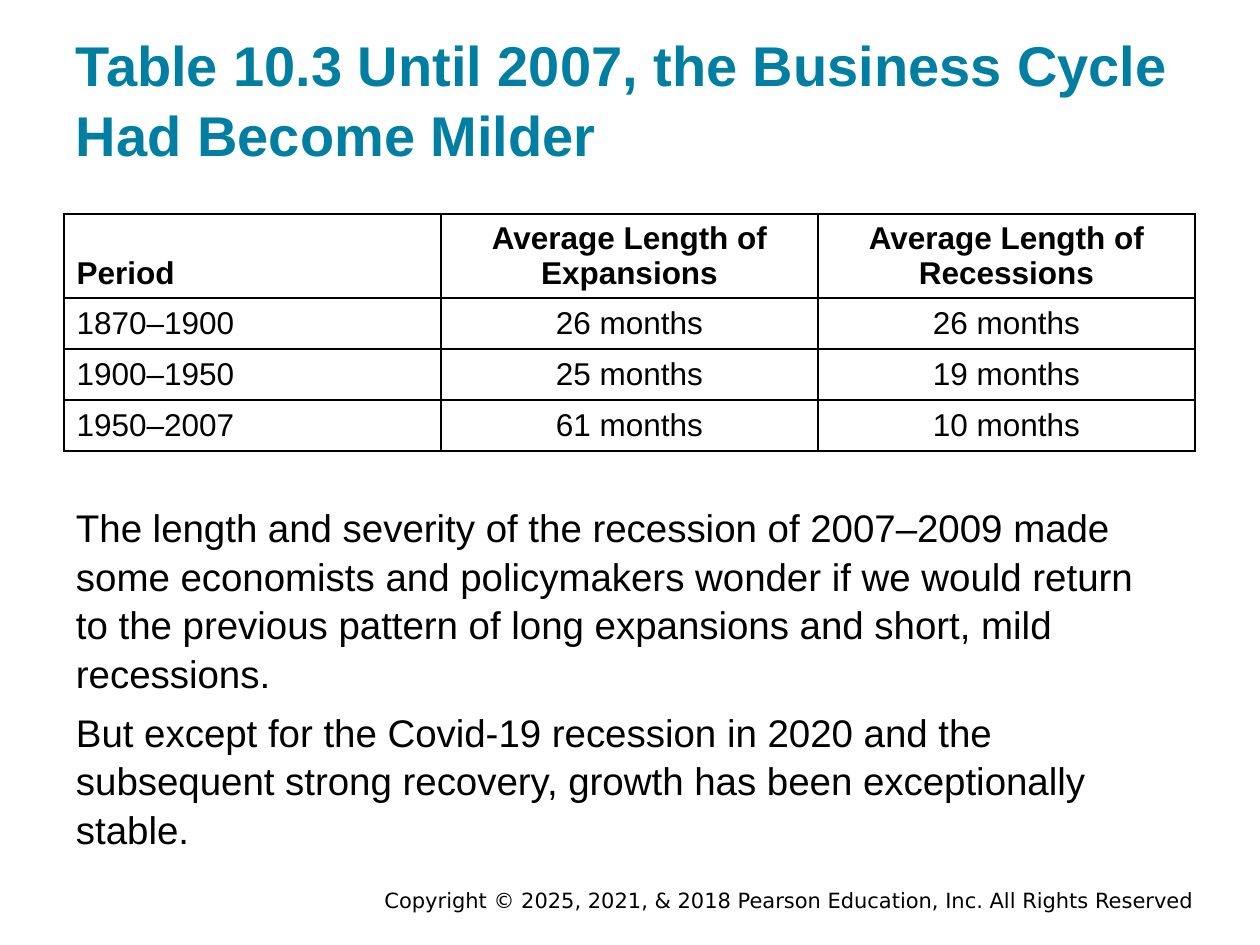
from lxml.etree import SubElement
from pptx import Presentation
from pptx.dml.color import RGBColor
from pptx.enum.text import MSO_ANCHOR as Anchor, PP_ALIGN as Align
from pptx.oxml.ns import qn
from pptx.util import Emu, Pt

PX = 914400 // 126
BLACK, TEAL, WHITE = "000000", "007FA3", "FFFFFF"

TITLE = "Table 10.3 Until 2007, the Business Cycle Had Become Milder"
CYCLES = [
    ("Period", "Average Length of Expansions", "Average Length of Recessions"),
    ("1870–1900", "26 months", "26 months"),
    ("1900–1950", "25 months", "19 months"),
    ("1950–2007", "61 months", "10 months"),
]
COMMENTS = [
    "The length and severity of the recession of 2007–2009 made some economists "
    "and policymakers wonder if we would return to the previous pattern of long "
    "expansions and short, mild recessions.",
    "But except for the Covid-19 recession in 2020 and the subsequent strong "
    "recovery, growth has been exceptionally stable.",
]
COPYRIGHT = "Copyright © 2025, 2021, & 2018 Pearson Education, Inc. All Rights Reserved"

TITLE_BOX = (63, 30, 1134, 151)
TABLE_BOX = (64, 214, 1131, 237)
COMMENT_BOX = (63, 489, 1110, 370)
COPYRIGHT_BOX = (220, 886, 987, 28)
HEADER_HEIGHT, ROW_HEIGHT = 84, 51


def px(*lengths):
    return [Emu(length * PX) for length in lengths]


def rgb(color):
    return RGBColor.from_string(color)


def fill_frame(frame, texts, size, color=BLACK, font="Arial", bold=False,
               align=Align.LEFT, spacing=None, gap=0):
    frame.word_wrap = True
    frame.text = "\n".join(texts)
    for index, paragraph in enumerate(frame.paragraphs):
        paragraph.alignment = align
        paragraph.line_spacing = spacing
        paragraph.space_before = Pt(gap if index else 0)
        for run in paragraph.runs:
            run.font.name, run.font.size, run.font.bold = font, Pt(size), bold
            run.font.color.rgb = rgb(color)


def set_insets(frame, side, vertical):
    frame.margin_left, frame.margin_right = px(side, side)
    frame.margin_top, frame.margin_bottom = px(vertical, vertical)


def add_borders(cell):
    properties = cell._tc.get_or_add_tcPr()
    for index, edge in enumerate(("a:lnL", "a:lnR", "a:lnT", "a:lnB")):
        line = properties.makeelement(qn(edge), w=str(Pt(1)))
        SubElement(SubElement(line, qn("a:solidFill")), qn("a:srgbClr"), val=BLACK)
        properties.insert(index, line)


def add_cycle_table(slide):
    table = slide.shapes.add_table(len(CYCLES), len(CYCLES[0]), *px(*TABLE_BOX)).table
    for column in table.columns:
        column.width = Emu(TABLE_BOX[2] * PX // len(CYCLES[0]))
    for r, texts in enumerate(CYCLES):
        header = r == 0
        table.rows[r].height = Emu((HEADER_HEIGHT if header else ROW_HEIGHT) * PX)
        for c, text in enumerate(texts):
            cell = table.cell(r, c)
            cell.fill.solid()
            cell.fill.fore_color.rgb = rgb(WHITE)
            cell.vertical_anchor = Anchor.BOTTOM if header else Anchor.MIDDLE
            fill_frame(cell.text_frame, [text], 18, bold=header,
                       align=Align.CENTER if c else Align.LEFT)
            add_borders(cell)


def main():
    deck = Presentation()
    deck.slide_width, deck.slide_height = px(1260, 945)
    slide = deck.slides.add_slide(deck.slide_layouts[5])

    title = slide.shapes.title
    title.left, title.top, title.width, title.height = px(*TITLE_BOX)
    set_insets(title.text_frame, 13, 13)
    title.text_frame.vertical_anchor = Anchor.BOTTOM
    fill_frame(title.text_frame, [TITLE], 32, TEAL, bold=True, spacing=1.05)

    add_cycle_table(slide)

    comments = slide.shapes.add_textbox(*px(*COMMENT_BOX)).text_frame
    set_insets(comments, 13, 13)
    fill_frame(comments, COMMENTS, 22, spacing=1.05, gap=6)

    footer = slide.shapes.add_textbox(*px(*COPYRIGHT_BOX)).text_frame
    set_insets(footer, 13, 6)
    footer.vertical_anchor = Anchor.MIDDLE
    fill_frame(footer, [COPYRIGHT], 12, font="DejaVu Sans", align=Align.RIGHT)

    deck.save("out.pptx")


if __name__ == "__main__":
    main()
